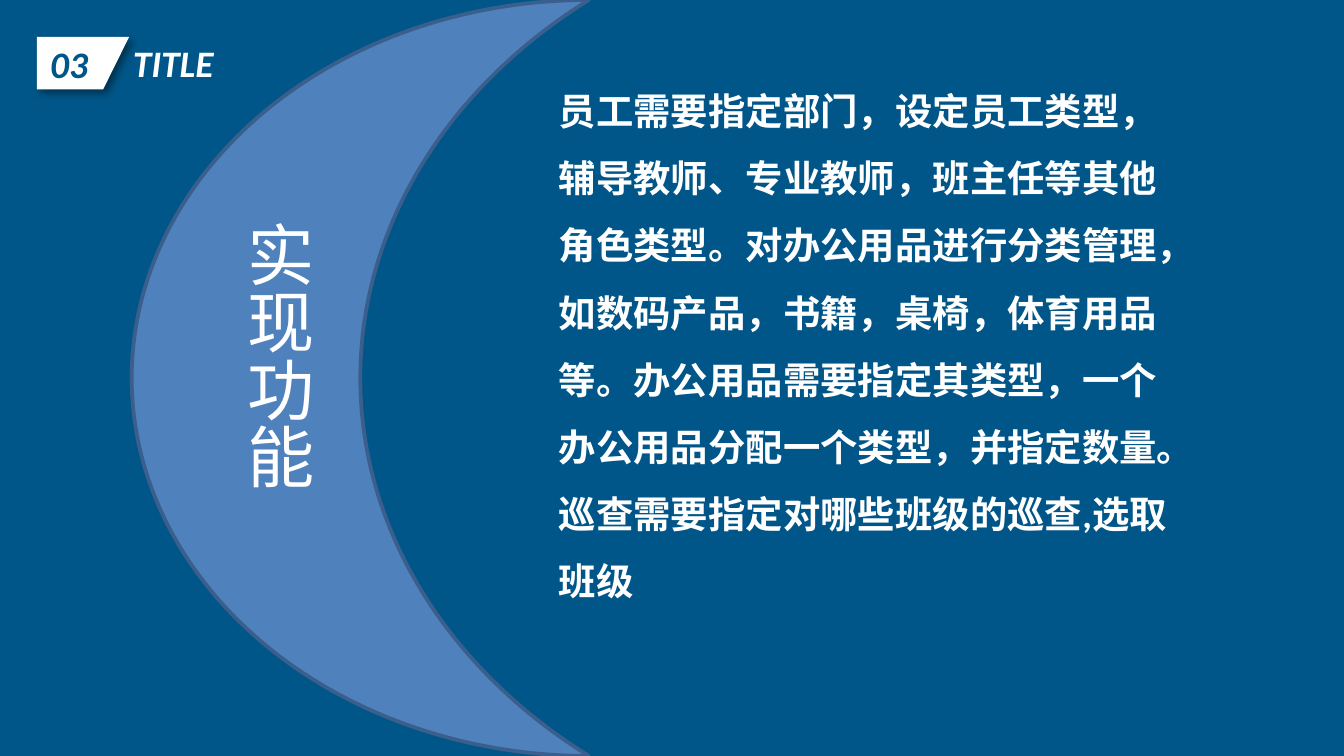
import dataclasses

import lxml.etree
import pptx
import pptx.dml.color
import pptx.enum.shapes
import pptx.enum.text
import pptx.oxml.ns
import pptx.util

Cm = pptx.util.Cm
Pt = pptx.util.Pt
qn = pptx.oxml.ns.qn
PP_ALIGN = pptx.enum.text.PP_ALIGN
ANCHOR = pptx.enum.text.MSO_ANCHOR
AUTO_SIZE = pptx.enum.text.MSO_AUTO_SIZE


@dataclasses.dataclass(frozen=True)
class Theme:
    background: str = "005688"
    light: str = "FFFFFF"
    moon: str = "4F81BD"
    moon_line: str = "3A5F8C"
    shadow: str = "000000"
    font: str = "Calibri"
    body_size: int = 20
    heading_size: int = 36


THEME = Theme()

BODY = (
    "员工需要指定部门，设定员工类型，辅导教师、专业教师，班主任等其他角色类型。"
    "对办公用品进行分类管理，如数码产品，书籍，桌椅，体育用品等。"
    "办公用品需要指定其类型，一个办公用品分配一个类型，并指定数量。"
    "巡查需要指定对哪些班级的巡查,选取班级"
)


def rgb(value):
    return pptx.dml.color.RGBColor.from_string(value)


def set_all(target, values):
    for name, value in values.items():
        setattr(target, name, value)


def place(sp, box):
    set_all(sp, dict(zip(("left", "top", "width", "height"), box)))


def write(sp, text, color, size=THEME.body_size, frame=None, para=None, **font):
    tf = sp.text_frame
    set_all(tf, {"word_wrap": True, "vertical_anchor": ANCHOR.TOP, **(frame or {})})
    p = tf.paragraphs[0]
    set_all(p, {"alignment": PP_ALIGN.LEFT, **(para or {})})
    r = p.add_run()
    r.text = text
    set_all(r.font, {"name": THEME.font, "size": Pt(size), **font})
    r.font.color.rgb = rgb(color)


def add_shadow(sp):
    effects = lxml.etree.SubElement(sp._element.spPr, qn("a:effectLst"))
    outer = lxml.etree.SubElement(
        effects, qn("a:outerShdw"), blurRad=str(Pt(4)), dist=str(Pt(3)),
        dir="2700000", algn="tl", rotWithShape="0")
    color = lxml.etree.SubElement(outer, qn("a:srgbClr"), val=THEME.shadow)
    lxml.etree.SubElement(color, qn("a:alpha"), val="40000")


def header(s, box, number, title):
    left, top, width, height = box
    badge_w, slant, margin = Cm(1.74), Cm(0.49), Cm(0.06)
    outline = s.shapes.build_freeform(left, top + margin)
    bottom = top + height - margin
    outline.add_line_segments([
        (left + badge_w, top + margin),
        (left + badge_w - slant, bottom),
        (left, bottom),
    ])
    badge = outline.convert_to_shape()
    badge.fill.solid()
    badge.fill.fore_color.rgb = rgb(THEME.light)
    badge.line.fill.background()
    add_shadow(badge)
    write(badge, number, THEME.background, bold=True, italic=True,
          frame={"vertical_anchor": ANCHOR.MIDDLE})

    title_w = Cm(2.39)
    place(s.shapes.title, (left + width - title_w, top, title_w, height))
    write(s.shapes.title, title, THEME.light, bold=True, italic=True,
          frame={"auto_size": AUTO_SIZE.SHAPE_TO_FIT_TEXT},
          para={"alignment": PP_ALIGN.CENTER})


def body(s, box, text):
    sp = s.shapes.add_textbox(*box)
    write(sp, text, THEME.light, bold=True,
          frame={"auto_size": AUTO_SIZE.SHAPE_TO_FIT_TEXT},
          para={"line_spacing": 1.5})


def moon(s, box, heading):
    left, top, width, height = box
    sp = s.shapes.add_shape(pptx.enum.shapes.MSO_SHAPE.MOON, *box)
    sp.shadow.inherit = False
    sp.fill.solid()
    sp.fill.fore_color.rgb = rgb(THEME.moon)
    sp.line.color.rgb = rgb(THEME.moon_line)
    sp.line.width = Pt(2)

    label = s.shapes.add_textbox(left + Cm(1.6), top + Cm(3.94), Cm(2.06), Cm(5.79))
    write(label, heading, THEME.light, THEME.heading_size,
          frame={"auto_size": AUTO_SIZE.SHAPE_TO_FIT_TEXT})
    label.text_frame._txBody.bodyPr.set("vert", "eaVert")


def main():
    prs = pptx.Presentation()
    set_all(prs, {"slide_width": Cm(25.4), "slide_height": Cm(14.29)})
    s = prs.slides.add_slide(prs.slide_layouts[5])
    s.background.fill.solid()
    s.background.fill.fore_color.rgb = rgb(THEME.background)

    header(s, (Cm(0.7), Cm(0.64), Cm(3.77), Cm(1.11)), "03", "TITLE")
    body(s, (Cm(10.31), Cm(1.12), Cm(12.14), Cm(14.2)), BODY)
    moon(s, (Cm(2.49), 0, Cm(8.64), prs.slide_height), "实现功能")
    prs.save("out.pptx")


if __name__ == "__main__":
    main()
